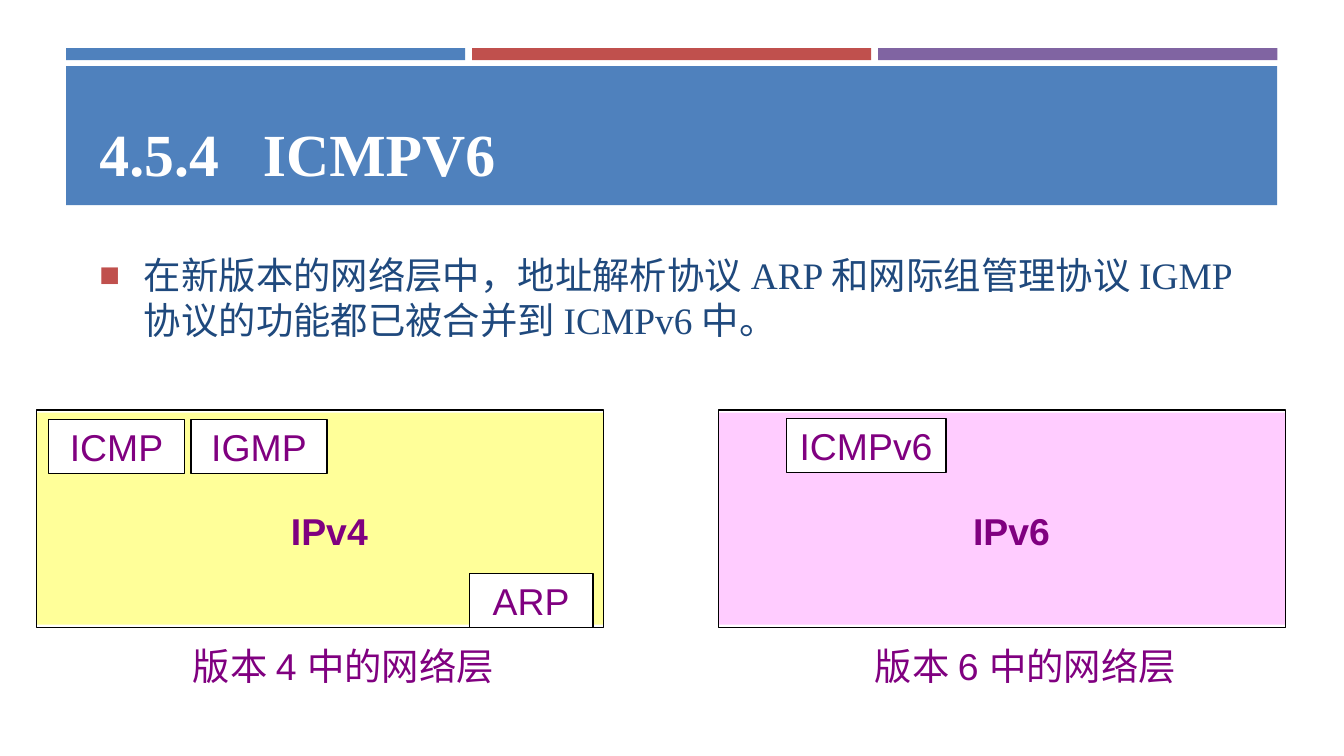
from dataclasses import dataclass

from lxml import etree
from pptx import Presentation
from pptx.dml.color import RGBColor
from pptx.enum.shapes import MSO_SHAPE
from pptx.enum.text import MSO_ANCHOR, PP_ALIGN
from pptx.oxml.ns import qn
from pptx.util import Cm, Pt

RECT = MSO_SHAPE.RECTANGLE
TOP, MIDDLE, BOTTOM = MSO_ANCHOR.TOP, MSO_ANCHOR.MIDDLE, MSO_ANCHOR.BOTTOM
LEFT, CENTER = PP_ALIGN.LEFT, PP_ALIGN.CENTER


@dataclass(frozen=True)
class Theme:
    """Colours, fonts and type sizes of the slide."""
    blue: str = "4F81BD"
    red: str = "C0504D"
    violet: str = "8064A2"
    navy: str = "1F497D"
    purple: str = "800080"
    yellow: str = "FFFF99"
    pink: str = "FFCCFF"
    white: str = "FFFFFF"
    black: str = "000000"
    serif: str = "Times New Roman"
    sans: str = "Arial"
    head: int = 32
    text: int = 20
    edge: float = 0.75


THEME = Theme()


def inset(box, left, top, width, height):
    """Return a box placed relative to the corner of another."""
    return box[0] + left, box[1] + top, width, height


def block(slide, box, fill=None, line=None):
    """Draw a flat rectangle."""
    shape = slide.shapes.add_shape(RECT, *map(Cm, box))
    shape.shadow.inherit = False
    if fill:
        shape.fill.solid()
        shape.fill.fore_color.rgb = RGBColor.from_string(fill)
    else:
        shape.fill.background()
    if line:
        shape.line.color.rgb = RGBColor.from_string(line)
        shape.line.width = Pt(THEME.edge)
    else:
        shape.line.fill.background()
    return shape


def area(slide, box):
    """Add an empty text box."""
    return slide.shapes.add_textbox(*map(Cm, box))


def write(shape, text, font=THEME.sans, size=THEME.text, color=THEME.purple,
          bold=False, align=CENTER, anchor=TOP, wrap=True):
    """Put formatted text in a shape and return its paragraph."""
    frame = shape.text_frame
    frame.word_wrap = wrap
    frame.vertical_anchor = anchor
    para = frame.paragraphs[0]
    para.alignment = align
    run = para.add_run()
    run.text = text
    run.font.name = font
    run.font.size = Pt(size)
    run.font.bold = bold
    run.font.color.rgb = RGBColor.from_string(color)
    return para


def add_tab(para, stop):
    """Set a left tab stop."""
    tabs = etree.SubElement(para._p.get_or_add_pPr(), qn("a:tabLst"))
    etree.SubElement(tabs, qn("a:tab"), pos=str(Cm(stop)), algn="l")


def add_bullet(para, indent):
    """Give a paragraph a red square bullet and a hanging indent."""
    props = para._p.get_or_add_pPr()
    props.set("marL", str(Cm(indent)))
    props.set("indent", str(-Cm(indent)))
    tint = etree.SubElement(props, qn("a:buClr"))
    etree.SubElement(tint, qn("a:srgbClr"), val=THEME.red)
    etree.SubElement(props, qn("a:buSzPct"), val="92000")
    etree.SubElement(props, qn("a:buFont"), typeface=THEME.sans)
    etree.SubElement(props, qn("a:buChar"), char="■")


def header(slide, box, title):
    """Draw three colour strips above a title banner."""
    width, height = box[2:]
    gap, strip, drop = 0.13, 0.23, 0.34
    part = (width - 2 * gap) / 3
    for i, color in enumerate((THEME.blue, THEME.red, THEME.violet)):
        block(slide, inset(box, i * (part + gap), 0, part, strip), color)
    block(slide, inset(box, 0, drop, width, height - drop), THEME.blue)
    label = area(slide, inset(box, 0.38, 0.51, width - 0.69, 2.26))
    para = write(label, title, font=THEME.serif, size=THEME.head,
                 color=THEME.white, bold=True, align=LEFT, anchor=BOTTOM)
    add_tab(para, 3.09)


def body(slide, box, text):
    """Write the bulleted statement."""
    para = write(area(slide, box), text, font=THEME.serif,
                 color=THEME.navy, align=LEFT)
    para.space_after = Pt(6)
    add_bullet(para, 0.84)


def panel(slide, box, fill, name, chips, note):
    """Draw one network layer with its protocols and caption."""
    width, height = box[2:]
    write(block(slide, inset(box, 2.61, height + 0.17, 6.38, 1.12),
                THEME.white), note)
    block(slide, inset(box, 0, 0.05, width, height - 0.1), fill)
    block(slide, box, line=THEME.black)
    write(area(slide, inset(box, 4.56, 1.74, 1.98, 1.12)), name,
          bold=True, align=LEFT, wrap=False)
    for text, left, top, wide in chips:
        chip = block(slide, inset(box, left, top, wide, 1.02),
                     THEME.white, THEME.black)
        write(chip, text, anchor=MIDDLE, wrap=False)


def main():
    """Build and save the slide."""
    deck = Presentation()
    deck.slide_width, deck.slide_height = Cm(25.4), Cm(14.29)
    slide = deck.slides.add_slide(deck.slide_layouts[6])
    header(slide, (1.25, 0.91, 22.89, 2.97), "4.5.4\tICMPV6")
    body(slide, (1.63, 4.65, 22.2, 7.57),
         "在新版本的网络层中，地址解析协议 ARP 和网际组管理协议 IGMP "
         "协议的功能都已被合并到 ICMPv6 中。")
    panel(slide, (0.69, 7.75, 10.72, 4.11), THEME.yellow, "IPv4",
          (("ICMP", 0.23, 0.18, 2.57), ("ARP", 8.18, 3.09, 2.34),
           ("IGMP", 2.92, 0.18, 2.57)), "版本 4 中的网络层")
    panel(slide, (13.58, 7.75, 10.72, 4.11), THEME.pink, "IPv6",
          (("ICMPv6", 1.28, 0.16, 3.02),), "版本 6 中的网络层")
    deck.save("out.pptx")


if __name__ == "__main__":
    main()
